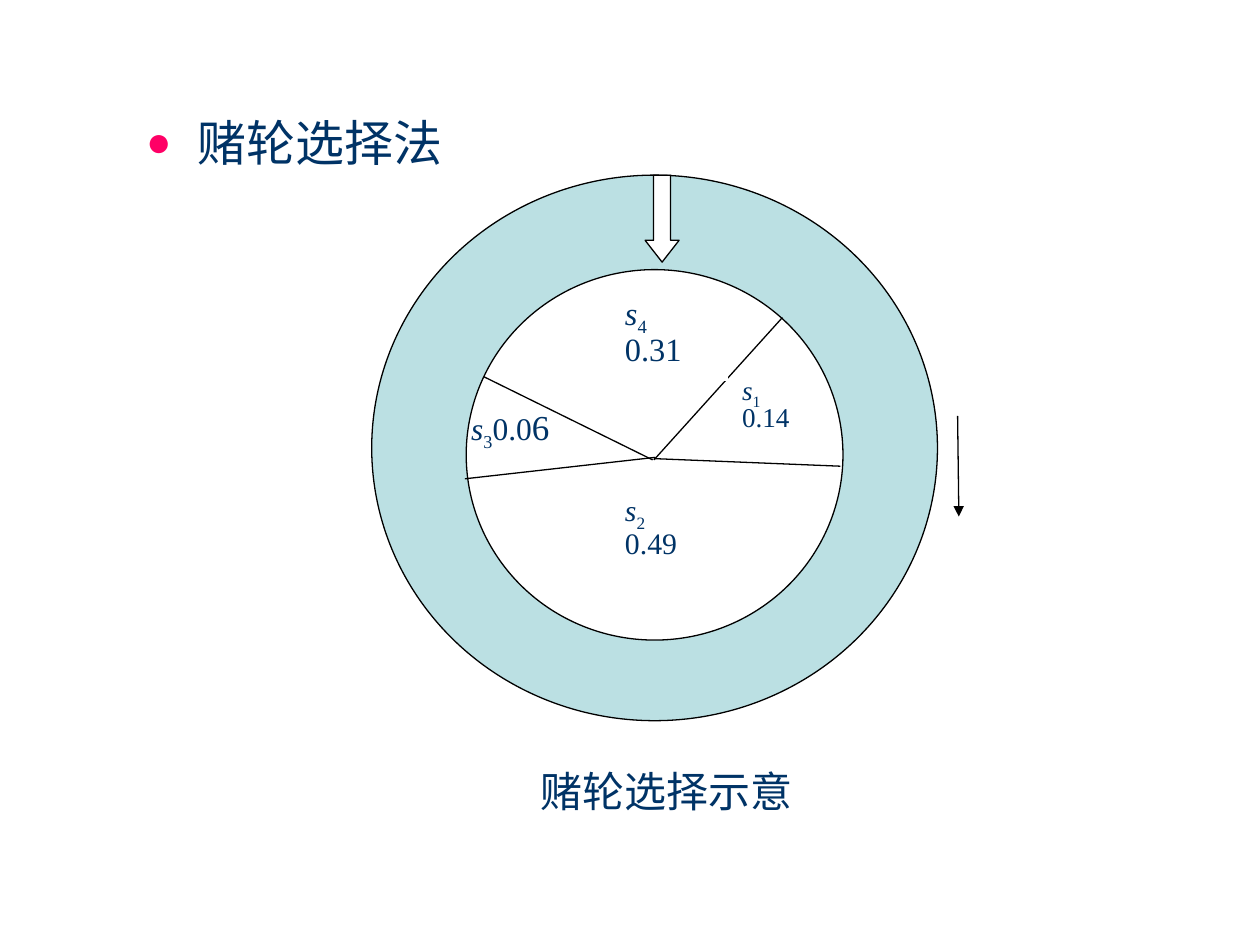
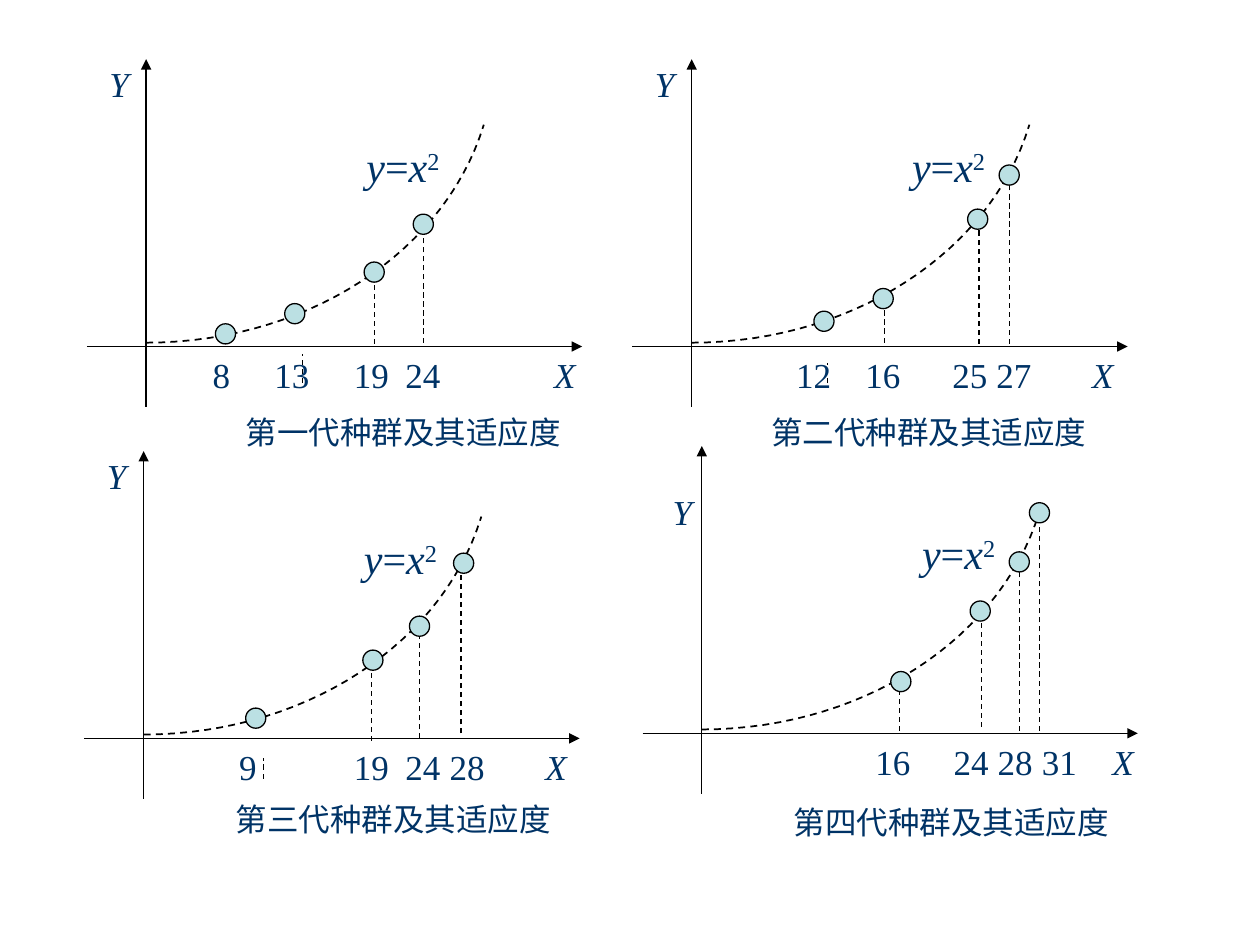
from lxml import etree
from pptx import Presentation
from pptx.dml.color import RGBColor
from pptx.enum.dml import MSO_LINE
from pptx.enum.shapes import MSO_CONNECTOR, MSO_SHAPE
from pptx.enum.text import MSO_ANCHOR, MSO_AUTO_SIZE, PP_ALIGN
from pptx.oxml.ns import qn
from pptx.util import Inches, Pt

STRAIGHT = MSO_CONNECTOR.STRAIGHT
RECT, OVAL, DOWN_ARROW = MSO_SHAPE.RECTANGLE, MSO_SHAPE.OVAL, MSO_SHAPE.DOWN_ARROW
DASH = MSO_LINE.DASH
TOP, LEFT, NO_FIT = MSO_ANCHOR.TOP, PP_ALIGN.LEFT, MSO_AUTO_SIZE.NONE

NAVY, PINK, AQUA, BLACK, WHITE = "003366", "FF0066", "BBE0E3", "000000", "FFFFFF"
SERIF, SANS = "Times New Roman", "Arial"
BASELINES = {"sub": "-25000", "sup": "30000"}
TITLE_ONLY, BLANK = 5, 6


def rgb(value):
    return RGBColor.from_string(value)


def add_child(parent, tag, **attrs):
    return etree.SubElement(parent, qn(tag), attrs)


class Deck:
    def __init__(self):
        self.prs = Presentation()
        self.prs.slide_width, self.prs.slide_height = Inches(10), Inches(7.5)
        self.s = None

    def new_slide(self, layout):
        self.s = self.prs.slides.add_slide(self.prs.slide_layouts[layout])

    def title(self, text, at):
        sp = self.s.shapes.title
        sp.left, sp.top, sp.width, sp.height = map(Inches, at)
        pPr = sp.text_frame.paragraphs[0]._p.get_or_add_pPr()
        pPr.set("marL", str(Inches(0.41)))
        pPr.set("indent", str(-Inches(0.41)))
        add_child(add_child(pPr, "a:buClr"), "a:srgbClr", val=PINK)
        add_child(pPr, "a:buSzPct", val="86000")
        add_child(pPr, "a:buFont", typeface=SANS)
        add_child(pPr, "a:buChar", char="●")
        self.fill_text(sp, [[(text, "")]], 28, SANS)

    def fill_text(self, sp, lines, size, font, inset=(0.1, 0.05), spacing=None, tabs=()):
        tf = sp.text_frame
        tf.word_wrap, tf.auto_size, tf.vertical_anchor = True, NO_FIT, TOP
        tf.margin_left = tf.margin_right = Inches(inset[0])
        tf.margin_top = tf.margin_bottom = Inches(inset[1])
        for n, runs in enumerate(lines):
            p = tf.add_paragraph() if n else tf.paragraphs[0]
            p.alignment, p.line_spacing, p.space_before = LEFT, spacing, Pt(0)
            if tabs:
                tab_list = add_child(p._p.get_or_add_pPr(), "a:tabLst")
                for tab in tabs:
                    add_child(tab_list, "a:tab", pos=str(Inches(tab)), algn="l")
            for text, style, *own_size in runs:
                r = p.add_run()
                r.text = text
                r.font.name, r.font.size = font, Pt(own_size[0] if own_size else size)
                r.font.color.rgb = rgb(NAVY)
                r.font.italic = style == "italic"
                if style in BASELINES:
                    r._r.get_or_add_rPr().set("baseline", BASELINES[style])

    def text(self, at, lines, size, font=SERIF, **layout):
        self.fill_text(self.s.shapes.add_textbox(*map(Inches, at)), lines, size, font, **layout)

    def shape(self, kind, at, fill=WHITE, line=BLACK):
        sp = self.s.shapes.add_shape(kind, *map(Inches, at))
        sp.shadow.inherit = False
        sp.fill.solid()
        sp.fill.fore_color.rgb = rgb(fill)
        sp.line.color.rgb = rgb(line)
        sp.line.width = Pt(0.75)
        return sp

    def label(self, at, lines, size, **layout):
        self.fill_text(self.shape(RECT, at, line=WHITE), lines, size, SERIF, **layout)

    def line(self, start, end, dashed=False, arrow=False):
        c = self.s.shapes.add_connector(STRAIGHT, *map(Inches, (*start, *end)))
        c.line.color.rgb = rgb(BLACK)
        c.line.width = Pt(0.75)
        if dashed:
            c.line.dash_style = DASH
        if arrow:
            add_child(c.line._get_or_add_ln(), "a:tailEnd", type="triangle")
        add_child(c._element.spPr, "a:effectLst")

    def curve(self, start, bends, steps=30):
        points = []
        for n in range(steps + 1):
            t = n / steps
            weights = (3 * t * (1 - t) ** 2, 3 * t * t * (1 - t), t ** 3)
            points.append(tuple(Inches(start[k] + sum(w * b[k] for w, b in zip(weights, bends)))
                                for k in (0, 1)))
        builder = self.s.shapes.build_freeform(*points[0])
        builder.add_line_segments(points[1:], close=False)
        sp = builder.convert_to_shape()
        sp.shadow.inherit = False
        sp.fill.background()
        sp.line.color.rgb = rgb(BLACK)
        sp.line.width = Pt(1)
        sp.line.dash_style = DASH


def wheel_slide(deck):
    deck.new_slide(TITLE_ONLY)
    deck.title("赌轮选择法", (1.06, 0.84, 3.47, 0.57))
    deck.label((3.74, 6.03, 3.23, 0.55), [[("赌轮选择示意", "")]], 24, inset=(0.55, 0.05))
    deck.shape(OVAL, (2.95, 1.39, 4.49, 4.33), AQUA)
    deck.shape(OVAL, (3.7, 2.14, 2.99, 2.94))
    for start, end in (((5.19, 3.65), (6.21, 2.52)), ((5.18, 3.65), (3.84, 2.99)),
                       ((5.2, 3.63), (3.69, 3.8))):
        deck.line(start, end)
    for index, share, at, size, spacing in (("4", "0.31", (4.96, 2.33, 0.81, 0.69), 18.5, 0.9),
                                            ("2", "0.49", (4.96, 3.91, 0.82, 0.66), 17, 0.9),
                                            ("1", "0.14", (5.89, 2.99, 0.62, 0.59), 15.5, 0.8)):
        deck.label(at, [[("s", "italic"), (index, "sub")], [(share, "")]], size,
                   inset=(0, 0), spacing=spacing)
    deck.line((5.19, 3.64), (6.67, 3.7))
    pointer = deck.shape(DOWN_ARROW, (5.12, 1.39, 0.27, 0.69))
    pointer.adjustments[0], pointer.adjustments[1] = 0.5, 0.64
    deck.line((7.6, 3.3), (7.61, 4.1), arrow=True)
    deck.label((3.74, 3.35, 0.67, 0.28),
               [[("s", "italic"), ("3", "sub"), ("0.0", ""), ("6", "", 20)]], 18,
               inset=(0, 0), spacing=0.5)


def generation_plot(deck, origin, y_label, caption_at, caption, ticks, drops, dots):
    x, y = origin
    for drop_x, top, bottom in drops:
        deck.line((drop_x, bottom), (drop_x, top), dashed=True)
    deck.text((*y_label, 0.5, 0.44), [[("Y", "italic")]], 20)
    deck.text((x + 1.65, y - 1.68, 0.87, 0.5),
              [[("y", "italic"), ("=", ""), ("x", "italic"), ("2", "sup")]], 24)
    deck.line((x - 0.47, y), (x + 3.46, y), arrow=True)
    *values, axis_name = ticks
    runs = [(f"\t{value}", "") for value in values] + [(f"\t{axis_name}", "italic")]
    deck.text((x + 0.16, y + 0.01, 3.7, 0.44), [runs], 20,
              tabs=[tick_x - x - 0.26 for tick_x in ticks.values()])
    deck.line((x, y + 0.48), (x, y - 2.28), arrow=True)
    deck.curve((x, y - 0.03), ((1.27, 0), (2.37, -0.71), (2.68, -1.73)))
    for dot in dots:
        deck.shape(OVAL, (*dot, 0.16, 0.16), AQUA)
    deck.text((*caption_at, 2.68, 0.3), [[(caption, "")]], 18, SANS, inset=(0, 0))


def generations_slide(deck):
    deck.new_slide(BLANK)
    generation_plot(
        deck, (1.16, 2.75), (0.77, 0.45), (1.95, 3.28), "第一代种群及其适应度",
        {"8": 1.69, "13": 2.18, "19": 2.81, "24": 3.22, "X": 4.4},
        [(2.4, 2.81, 3.04), (2.97, 2.18, 2.73), (3.36, 1.78, 2.72)],
        [(1.71, 2.57), (2.26, 2.41), (2.89, 2.08), (3.28, 1.7)])
    generation_plot(
        deck, (5.49, 2.75), (5.1, 0.45), (6.12, 3.28), "第二代种群及其适应度",
        {"12": 6.32, "16": 6.87, "25": 7.56, "27": 7.91, "X": 8.67},
        [(6.57, 2.88, 3.04), (7.02, 2.39, 2.72), (7.77, 1.78, 2.73), (8.01, 1.31, 2.73)],
        [(6.46, 2.47), (6.93, 2.29), (7.68, 1.66), (7.93, 1.31)])
    generation_plot(
        deck, (1.14, 5.86), (0.75, 3.56), (1.87, 6.35), "第三代种群及其适应度",
        {"9": 1.9, "19": 2.81, "24": 3.22, "28": 3.57, "X": 4.33},
        [(2.09, 6.02, 6.18), (2.95, 5.25, 5.88), (3.33, 4.92, 5.86), (3.66, 4.49, 5.82)],
        [(1.95, 5.62), (2.88, 5.16), (3.25, 4.89), (3.6, 4.39)])
    generation_plot(
        deck, (5.57, 5.82), (5.24, 3.84), (6.3, 6.37), "第四代种群及其适应度",
        {"16": 6.95, "24": 7.57, "28": 7.92, "31": 8.27, "X": 8.83},
        [(7.14, 5.4, 5.8), (7.79, 4.83, 5.77), (8.09, 4.46, 5.8), (8.25, 4.07, 5.8)],
        [(7.07, 5.33), (7.7, 4.77), (8.01, 4.38), (8.17, 3.99)])


def main():
    deck = Deck()
    wheel_slide(deck)
    generations_slide(deck)
    deck.prs.save("out.pptx")


if __name__ == "__main__":
    main()
